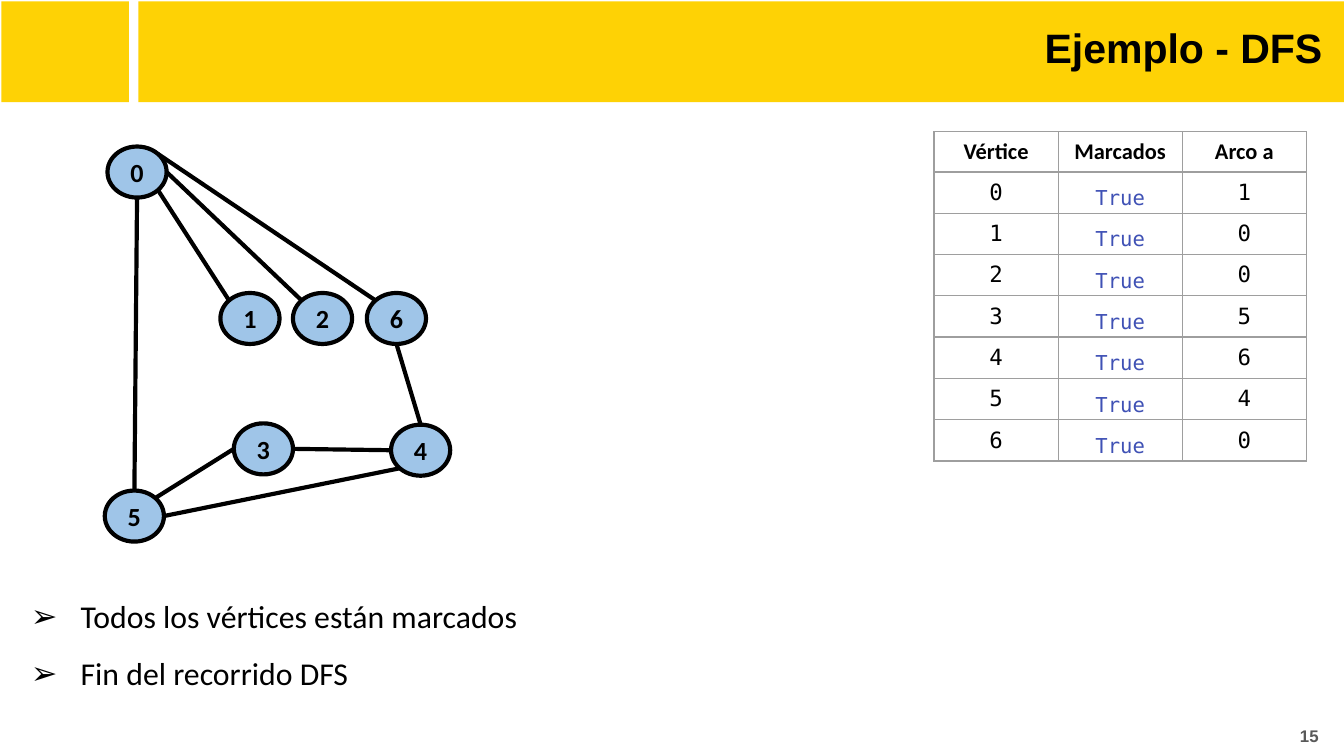
from math import cos, radians, sin

from lxml.etree import SubElement
from pptx import Presentation
from pptx.dml.color import RGBColor
from pptx.enum.shapes import MSO_CONNECTOR as Link, MSO_SHAPE as Form
from pptx.enum.text import MSO_ANCHOR as Anchor, MSO_AUTO_SIZE as Fit, PP_ALIGN as Align
from pptx.oxml import parse_xml
from pptx.oxml.ns import nsdecls, qn
from pptx.util import Inches, Pt

UNIT = Inches(0.1)
COLS, ROWS = 100, 56.25
NODE_W, NODE_H = 4.4, 3.8
HUES = {
    "bar": "FED205",
    "node": "9FC5E8",
    "ink": "000000",
    "page": "595959",
    "grid": "9E9E9E",
    "true": "3F51B5",
}
NODES = {
    0: (10.2, 12.8),
    1: (18.6, 23.7),
    2: (24, 23.7),
    6: (29.5, 23.7),
    5: (10, 38.4),
    3: (19.6, 33.4),
    4: (31.3, 33.5),
}
EDGES = [
    (0, "se", 1, "nw"),
    (0, "e", 2, "nw"),
    (0, "ne", 6, "nw"),
    (0, "s", 5, "n"),
    (3, "w", 5, "ne"),
    (4, "w", 3, "e"),
    (4, "sw", 5, "e"),
    (4, "n", 6, "s"),
]
SIDES = {side: radians(45 * i) for i, side in enumerate("e se s sw w nw n ne".split())}
HEADS = ["Vértice", "Marcados", "Arco a"]
ARCS = [1, 0, 0, 5, 6, 4, 0]
NOTES = ["Todos los vértices están marcados", "Fin del recorrido DFS"]


def grid(*cells):
    return [round(cell * UNIT) for cell in cells]


def hue(name):
    return RGBColor.from_string(HUES[name])


def style(para, size, face, color="ink", bold=False, align=Align.CENTER):
    para.alignment = align
    font = para.font
    font.size, font.name, font.bold = Pt(size), face, bold
    font.color.rgb = hue(color)


def place(shape, *cells):
    shape.left, shape.top, shape.width, shape.height = grid(*cells)


def frame(shape, anchor):
    text = shape.text_frame
    text.word_wrap, text.auto_size = True, Fit.NONE
    text.vertical_anchor = anchor
    text.margin_left = text.margin_right = UNIT
    text.margin_top = text.margin_bottom = UNIT
    return text


def add_form(slide, form, color, *cells):
    shape = slide.shapes.add_shape(form, *grid(*cells))
    shape.shadow.inherit = False
    shape.fill.solid()
    shape.fill.fore_color.rgb = hue(color)
    return shape


def add_bar(slide, x, wide):
    bar = add_form(slide, Form.RECTANGLE, "bar", x, 0.1, wide, 7.5)
    bar.line.fill.background()
    slide.shapes.title.element.addprevious(bar.element)


def add_title(slide, words):
    title = slide.shapes.title
    place(title, 10.8, 0.7, 88.6, 6.3)
    text = frame(title, Anchor.TOP)
    text.text = words
    style(text.paragraphs[0], 22, "Arial", bold=True, align=Align.RIGHT)


def add_page(slide, number):
    box = slide.shapes.add_textbox(*grid(94.7, 52.6, 4.4, 4.3))
    text = frame(box, Anchor.MIDDLE)
    text.text = str(number)
    style(text.paragraphs[0], 9, "Arial", "page", True, Align.RIGHT)


def add_node(slide, key):
    x, y = NODES[key]
    node = add_form(slide, Form.OVAL, "node", x - NODE_W / 2, y - NODE_H / 2, NODE_W, NODE_H)
    node.line.color.rgb = hue("ink")
    node.line.width = Pt(2.25)
    text = frame(node, Anchor.MIDDLE)
    text.text = str(key)
    style(text.paragraphs[0], 14, "Calibri", bold=True)


def rim(key, side):
    x, y = NODES[key]
    turn = SIDES[side]
    return x + NODE_W / 2 * cos(turn), y + NODE_H / 2 * sin(turn)


def add_edge(slide, start, out, end, into):
    ends = grid(*rim(start, out), *rim(end, into))
    edge = slide.shapes.add_connector(Link.STRAIGHT, *ends)
    edge.line.color.rgb = hue("ink")
    edge.line.width = Pt(2.25)
    SubElement(edge.element.spPr, qn("a:effectLst"))


def add_rules(cell):
    props = cell.fill.background() or cell._tc.get_or_add_tcPr()
    for i, side in enumerate("LRTB"):
        props.insert(i, parse_xml(
            f'<a:ln{side} {nsdecls("a")} w="{Pt(0.75)}"><a:solidFill>'
            f'<a:srgbClr val="{HUES["grid"]}"/></a:solidFill></a:ln{side}>'))


def fill_cell(cell, words, head, mark):
    cell.text = str(words)
    cell.vertical_anchor = Anchor.MIDDLE
    cell.margin_left = cell.margin_right = Inches(0.02)
    cell.margin_top = cell.margin_bottom = Inches(0.02)
    add_rules(cell)
    para = cell.text_frame.paragraphs[0]
    if head:
        style(para, 12, "Calibri", bold=True)
    elif mark:
        style(para, 11, "DejaVu Sans Mono", "true")
        para.line_spacing = 1.5
    else:
        style(para, 12, "DejaVu Sans Mono")


def add_marks(slide):
    rows = [HEADS] + [[i, "True", arc] for i, arc in enumerate(ARCS)]
    table = slide.shapes.add_table(
        len(rows), len(HEADS), *grid(69.5, 9.8, 27.7, 3 * len(rows))).table
    table.first_row = table.horz_banding = False
    for r, row in enumerate(rows):
        for c, words in enumerate(row):
            fill_cell(table.cell(r, c), words, r == 0, c == 1)


def add_bullet(para):
    props = para._p.get_or_add_pPr()
    props.set("marL", str(Inches(0.5)))
    props.set("indent", str(-Inches(0.37)))
    color = SubElement(props, qn("a:buClr"))
    SubElement(color, qn("a:srgbClr"), val=HUES["ink"])
    SubElement(props, qn("a:buChar"), char="➢")


def add_notes(slide):
    body = slide.placeholders[1]
    place(body, 0, 42, 62.1, 10.6)
    text = frame(body, Anchor.TOP)
    text.text = "\n".join(NOTES)
    for para in text.paragraphs:
        add_bullet(para)
        para.line_spacing = 1.5
        para.space_before = Pt(0)
        style(para, 17, "Calibri", align=Align.LEFT)


def main():
    deck = Presentation()
    deck.slide_width, deck.slide_height = grid(COLS, ROWS)
    slide = deck.slides.add_slide(deck.slide_layouts[1])
    add_bar(slide, 10.3, 89.7)
    add_bar(slide, 0.1, 9.5)
    add_title(slide, "Ejemplo - DFS")
    add_page(slide, 15)
    for key in NODES:
        add_node(slide, key)
    for edge in EDGES:
        add_edge(slide, *edge)
    add_marks(slide)
    add_notes(slide)
    deck.save("out.pptx")


if __name__ == "__main__":
    main()
